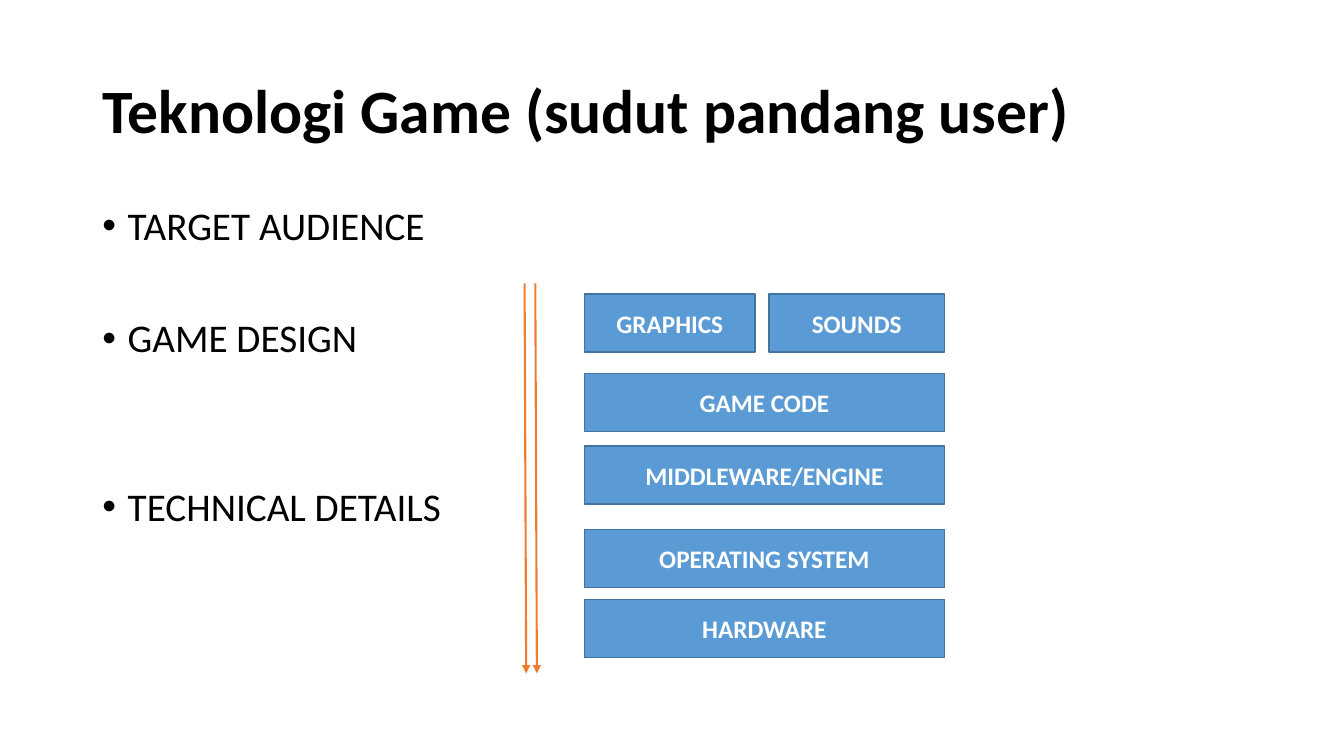
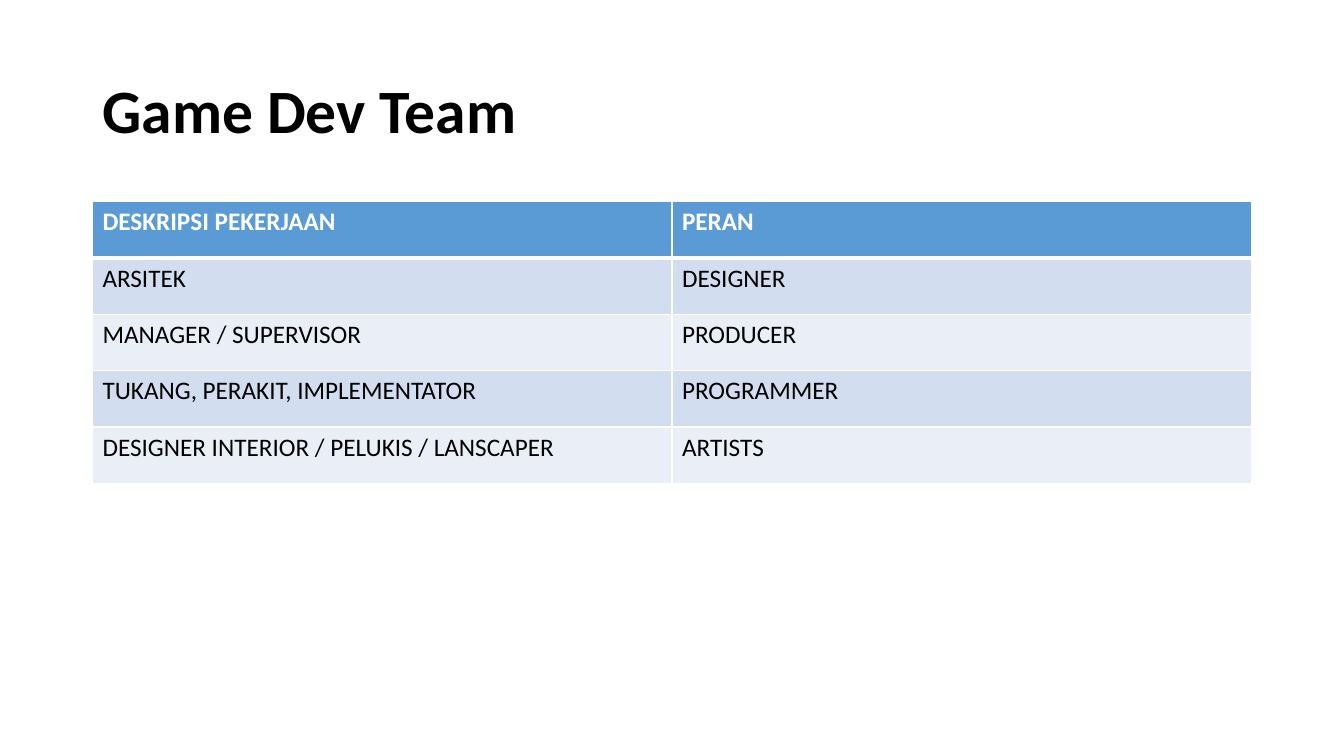
from dataclasses import dataclass
from typing import Any

from lxml.etree import SubElement
from pptx import Presentation
from pptx.dml.color import RGBColor
from pptx.enum.shapes import MSO_CONNECTOR, MSO_SHAPE
from pptx.enum.text import MSO_ANCHOR as ANCHOR, MSO_AUTO_SIZE, PP_ALIGN as ALIGN
from pptx.oxml.ns import qn
from pptx.slide import Slide
from pptx.util import Cm, Pt

BLACK = RGBColor(0x00, 0x00, 0x00)
WHITE = RGBColor(0xFF, 0xFF, 0xFF)
BLUE = RGBColor(0x5B, 0x9B, 0xD5)
DARK_BLUE = RGBColor(0x43, 0x73, 0x9E)
ORANGE = RGBColor(0xED, 0x7D, 0x31)
BANDS = (RGBColor(0xD2, 0xDE, 0xEF), RGBColor(0xEA, 0xEF, 0xF7))

TITLE = {"size": Pt(44), "bold": True, "color": BLACK}
BODY = {"size": Pt(28), "bold": False, "color": BLACK}
LABEL = {"size": Pt(18), "bold": True, "color": WHITE}
CELL = {"size": Pt(18), "bold": False, "color": BLACK}

MARGIN, CONTENT_TOP, CONTENT_WIDTH = 2.33, 5.08, 29.21
STACK_LEFT, STACK_WIDTH, LAYER_HEIGHT = 14.73, 9.07, 1.46
ROW_HEIGHT = 1.42
BULLET_INDENT = Cm(0.64)


@dataclass(frozen=True)
class Bullet:
    text: str
    space_before: float


@dataclass(frozen=True)
class Layer:
    text: str
    top: float
    left: float = STACK_LEFT
    width: float = STACK_WIDTH


@dataclass(frozen=True)
class Arrow:
    x1: float
    x2: float
    y1: float = 7.14
    y2: float = 16.97


BULLETS = (
    Bullet("TARGET AUDIENCE", 10),
    Bullet("GAME DESIGN", 50),
    Bullet("TECHNICAL DETAILS", 90),
)
LAYERS = (
    Layer("HARDWARE", 15.11),
    Layer("OPERATING SYSTEM", 13.34),
    Layer("MIDDLEWARE/ENGINE", 11.24),
    Layer("GAME CODE", 9.41),
    Layer("GRAPHICS", 7.41, width=4.3),
    Layer("SOUNDS", 7.41, left=19.38, width=4.42),
)
ARROWS = (Arrow(13.22, 13.26), Arrow(13.49, 13.53))
TEAM = (
    ("DESKRIPSI PEKERJAAN", "PERAN"),
    ("ARSITEK", "DESIGNER"),
    ("MANAGER / SUPERVISOR", "PRODUCER"),
    ("TUKANG, PERAKIT, IMPLEMENTATOR", "PROGRAMMER"),
    ("DESIGNER INTERIOR / PELUKIS / LANSCAPER", "ARTISTS"),
)


def write(p: Any, text: str, style: dict[str, Any]) -> None:
    r = p.add_run()
    r.text = text
    r.font.name = "Calibri"
    for name, value in style.items():
        if name == "color":
            r.font.color.rgb = value
        else:
            setattr(r.font, name, value)


def add_titled_slide(prs: Any, title: str) -> Slide:
    s = prs.slides.add_slide(prs.slide_layouts[5])
    sp = s.shapes.title
    box = {"left": MARGIN, "top": 1.01, "width": CONTENT_WIDTH, "height": 3.68}
    for name, value in box.items():
        setattr(sp, name, Cm(value))
    tf = sp.text_frame
    tf.auto_size = MSO_AUTO_SIZE.NONE
    tf.vertical_anchor = ANCHOR.MIDDLE
    p = tf.paragraphs[0]
    p.alignment, p.line_spacing = ALIGN.LEFT, 0.9
    write(p, title, TITLE)
    return s


def add_bullets(s: Slide, bullets: tuple[Bullet, ...]) -> None:
    tf = s.shapes.add_textbox(
        Cm(MARGIN), Cm(CONTENT_TOP), Cm(CONTENT_WIDTH), Cm(12.09)
    ).text_frame
    tf.word_wrap = True
    for i, bullet in enumerate(bullets):
        p = tf.add_paragraph() if i else tf.paragraphs[0]
        p.line_spacing = 0.9
        p.space_before = Pt(bullet.space_before)
        pPr = p._p.get_or_add_pPr()
        pPr.set("marL", str(BULLET_INDENT))
        pPr.set("indent", str(-BULLET_INDENT))
        SubElement(pPr, qn("a:buFont"), typeface="Arial")
        SubElement(pPr, qn("a:buChar"), char="•")
        write(p, bullet.text, BODY)


def add_layer(s: Slide, layer: Layer) -> None:
    sp = s.shapes.add_shape(
        MSO_SHAPE.RECTANGLE,
        Cm(layer.left), Cm(layer.top), Cm(layer.width), Cm(LAYER_HEIGHT),
    )
    sp.shadow.inherit = False
    sp.fill.solid()
    sp.fill.fore_color.rgb = BLUE
    sp.line.color.rgb = DARK_BLUE
    sp.line.width = Pt(1)
    tf = sp.text_frame
    tf.vertical_anchor = ANCHOR.MIDDLE
    p = tf.paragraphs[0]
    p.alignment = ALIGN.CENTER
    write(p, layer.text, LABEL)


def add_arrow(s: Slide, arrow: Arrow) -> None:
    line = s.shapes.add_connector(
        MSO_CONNECTOR.STRAIGHT,
        Cm(arrow.x1), Cm(arrow.y1), Cm(arrow.x2), Cm(arrow.y2),
    )
    line.line.color.rgb = ORANGE
    line.line.width = Pt(1.5)
    SubElement(line.line._get_or_add_ln(), qn("a:tailEnd"), type="triangle")
    SubElement(line._element.spPr, qn("a:effectLst"))


def add_borders(cell: Any, widths: dict[str, int]) -> None:
    """Draw white cell borders; call before filling, as the schema wants lines first."""
    tcPr = cell._tc.get_or_add_tcPr()
    for side, width in widths.items():
        ln = SubElement(tcPr, qn(f"a:ln{side}"), w=str(Pt(width)))
        fill = SubElement(ln, qn("a:solidFill"))
        SubElement(fill, qn("a:srgbClr"), val=str(WHITE))


def add_team_table(s: Slide, rows: tuple[tuple[str, ...], ...]) -> None:
    table = s.shapes.add_table(
        len(rows), len(rows[0]), Cm(MARGIN), Cm(CONTENT_TOP),
        Cm(CONTENT_WIDTH), Cm(ROW_HEIGHT * len(rows)),
    ).table
    for i, row in enumerate(rows):
        header = i == 0
        for j, text in enumerate(row):
            cell = table.cell(i, j)
            top, bottom = 3 if i == 1 else 1, 3 if header else 1
            add_borders(cell, {"L": 1, "R": 1, "T": top, "B": bottom})
            cell.fill.solid()
            cell.fill.fore_color.rgb = BLUE if header else BANDS[(i - 1) % 2]
            write(cell.text_frame.paragraphs[0], text, LABEL if header else CELL)


def main() -> None:
    prs = Presentation()
    prs.slide_width, prs.slide_height = Cm(33.87), Cm(19.05)

    s = add_titled_slide(prs, "Teknologi Game (sudut pandang user)")
    add_bullets(s, BULLETS)
    for layer in LAYERS:
        add_layer(s, layer)
    for arrow in ARROWS:
        add_arrow(s, arrow)

    s = add_titled_slide(prs, "Game Dev Team")
    add_team_table(s, TEAM)

    prs.save("out.pptx")


if __name__ == "__main__":
    main()
